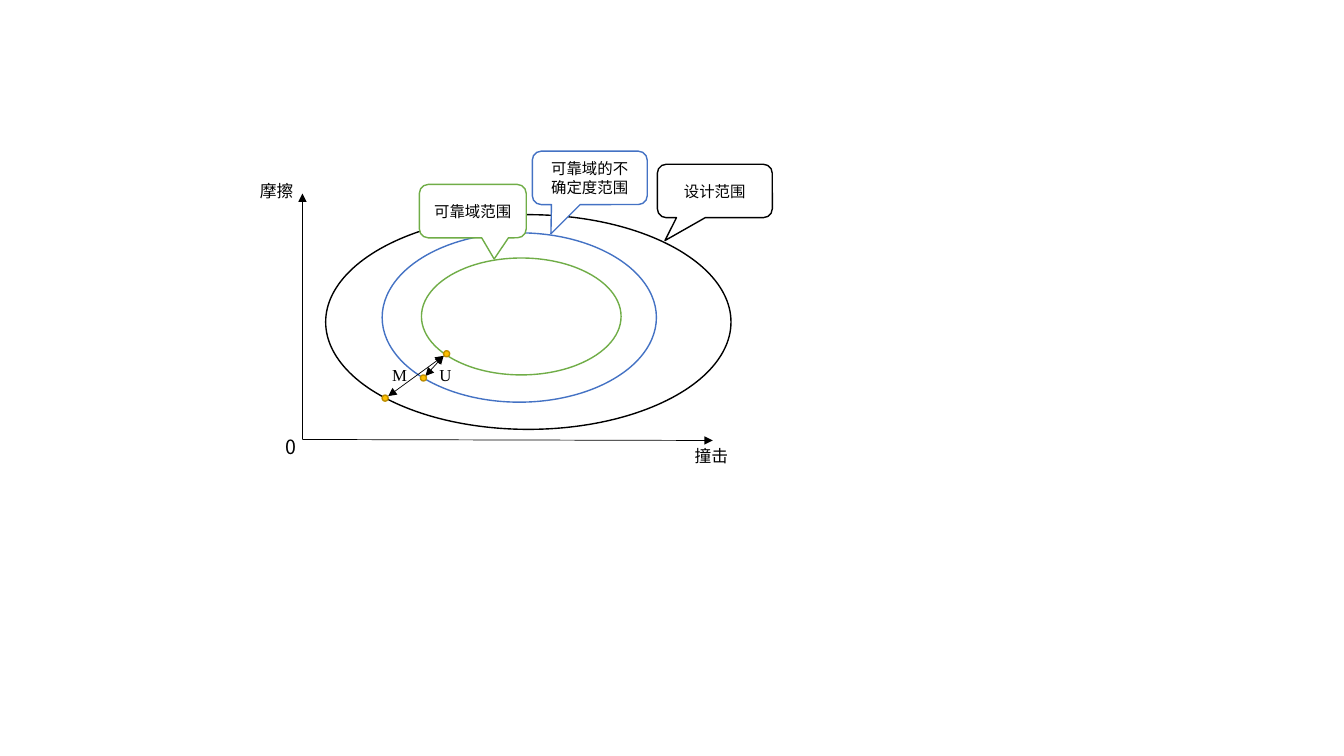
from lxml import etree
from pptx import Presentation
from pptx.dml.color import RGBColor
from pptx.enum import shapes, text
from pptx.oxml.ns import qn
from pptx.util import Inches, Pt

# Content: places are left, top, width, height in inches
RINGS = {
    "design": ((3.23, 2.13, 4.02, 2.13), "black"),
    "uncertainty": ((3.79, 2.31, 2.72, 1.68), "blue"),
    "reliable": ((4.18, 2.56, 1.98, 1.16), "green"),
}
# Callouts: text, place, pointer offset, line colour
CALLOUTS = [
    ("可靠域范围", (4.16, 1.83, 1.06, 0.53), (0.2, 0.897), "green"),
    ("可靠域的不确定度范围", (5.28, 1.5, 1.14, 0.53), (-0.338, 1.048), "blue"),
    ("设计范围", (6.52, 1.63, 1.14, 0.53), (-0.434, 0.929), "black"),
]
# Labels: text, place, size, font
LABELS = [
    ("摩擦", (2.48, 1.74, 0.54, 0.3), "label", "cjk"),
    ("撞击", (6.79, 4.37, 0.55, 0.3), "label", "cjk"),
    ("0", (2.73, 4.27, 0.35, 0.34), "origin", "cjk"),
    ("U", (4.26, 3.57, 0.33, 0.3), "label", "latin"),
    ("M", (3.79, 3.57, 0.36, 0.3), "label", "latin"),
]
# Lines: start, end; axes have one arrowhead, margins two
AXES = [((3, 4.36), (3, 1.92)), ((3, 4.36), (7.07, 4.37))]
MARGINS = [((4.22, 3.73), (4.4, 3.53)), ((3.85, 3.93), (4.4, 3.53))]
DOTS = [(3.79, 3.92), (4.17, 3.72), (4.4, 3.48)]
DOT_SIZE = 0.06

THEME = {
    "colors": {name: RGBColor.from_string(value) for name, value in {
        "black": "000000", "white": "FFFFFF", "blue": "4472C4",
        "green": "70AD47", "gold": "FFC000", "dark gold": "BD8E00"}.items()},
    "sizes": {"label": 12, "origin": 14, "callout": 11},
    "fonts": {"cjk": "Noto Sans CJK SC", "latin": "Times New Roman"},
    "lines": {"outline": 1, "arrow": 0.5},
}
COLORS = THEME["colors"]

presentation = Presentation()
presentation.slide_width = Inches(13.33)
presentation.slide_height = Inches(7.5)
slide = presentation.slides.add_slide(presentation.slide_layouts[6])


def add_outlined(kind, place, line, fill=None):
    shape = slide.shapes.add_shape(kind, *map(Inches, place))
    shape.shadow.inherit = False
    if fill:
        shape.fill.solid()
        shape.fill.fore_color.rgb = COLORS[fill]
    else:
        shape.fill.background()
    shape.line.color.rgb = COLORS[line]
    shape.line.width = Pt(THEME["lines"]["outline"])
    return shape


def add_ring(name):
    place, color = RINGS[name]
    add_outlined(shapes.MSO_SHAPE.OVAL, place, color)


def write(shape, words, size, font, frame_format, alignment):
    for name, value in frame_format.items():
        setattr(shape.text_frame, name, value)
    paragraph = shape.text_frame.paragraphs[0]
    paragraph.alignment = alignment
    run = paragraph.add_run()
    run.text = words
    run.font.color.rgb = COLORS["black"]
    run.font.size = Pt(THEME["sizes"][size])
    run.font.name = THEME["fonts"][font]
    east_asian = etree.SubElement(run.font._element, qn("a:ea"))
    east_asian.set("typeface", THEME["fonts"][font])


def add_arrow(start, end, heads):
    points = map(Inches, (*start, *end))
    connector = slide.shapes.add_connector(shapes.MSO_CONNECTOR.STRAIGHT, *points)
    connector.line.color.rgb = COLORS["black"]
    connector.line.width = Pt(THEME["lines"]["arrow"])
    line = connector.line._get_or_add_ln()
    for head in heads:
        etree.SubElement(line, qn(f"a:{head}")).set("type", "triangle")
    etree.SubElement(connector._element.spPr, qn("a:effectLst"))


# Outer rings and axes
add_ring("design")
add_ring("uncertainty")
for start, end in AXES:
    add_arrow(start, end, ["tailEnd"])

# Labels
for words, place, size, font in LABELS:
    box = slide.shapes.add_textbox(*map(Inches, place))
    frame_format = {"word_wrap": True, "auto_size": text.MSO_AUTO_SIZE.SHAPE_TO_FIT_TEXT}
    write(box, words, size, font, frame_format, text.PP_ALIGN.LEFT)

# Callouts, with the inner ring over the pointer tip
for words, place, pointer, color in CALLOUTS:
    callout = add_outlined(shapes.MSO_SHAPE.ROUNDED_RECTANGULAR_CALLOUT, place, color, "white")
    for index, value in enumerate(pointer):
        callout.adjustments[index] = value
    frame_format = {"word_wrap": True, "vertical_anchor": text.MSO_ANCHOR.MIDDLE}
    write(callout, words, "callout", "cjk", frame_format, text.PP_ALIGN.CENTER)
add_ring("reliable")

# Margin arrows and their end dots
for start, end in MARGINS:
    add_arrow(start, end, ["headEnd", "tailEnd"])
for left, top in DOTS:
    add_outlined(shapes.MSO_SHAPE.OVAL, (left, top, DOT_SIZE, DOT_SIZE), "dark gold", "gold")

presentation.save("out.pptx")
